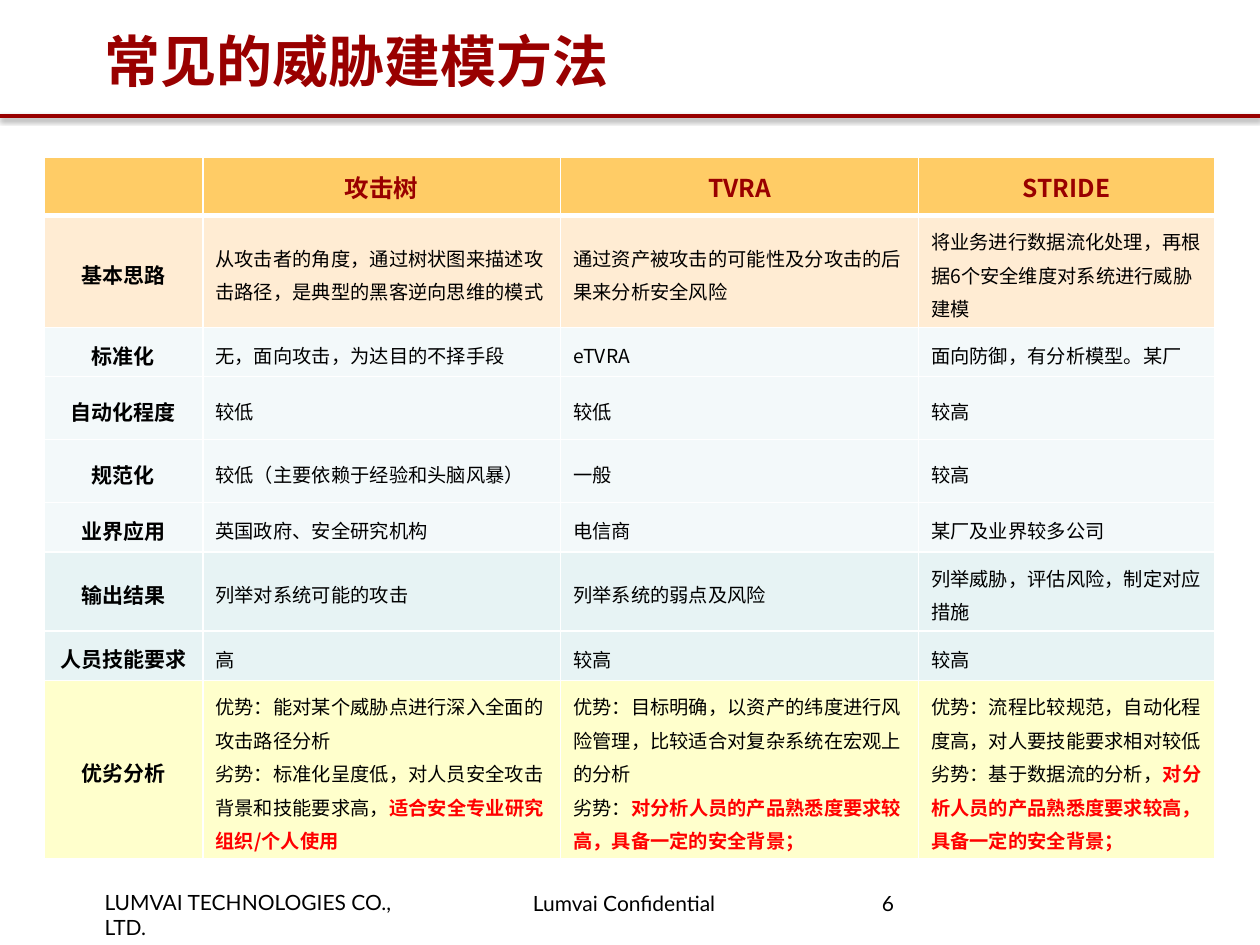
from dataclasses import dataclass

import lxml.etree
import pptx
import pptx.dml.color
import pptx.enum.shapes
import pptx.enum.text
import pptx.oxml
import pptx.oxml.ns
import pptx.util

Inches = pptx.util.Inches
Pt = pptx.util.Pt
RGBColor = pptx.dml.color.RGBColor
Align = pptx.enum.text.PP_ALIGN
Anchor = pptx.enum.text.MSO_ANCHOR
qn = pptx.oxml.ns.qn

DARK_RED = RGBColor(0x99, 0x00, 0x00)
RED = RGBColor(0xFF, 0x00, 0x00)
BLACK = RGBColor(0x00, 0x00, 0x00)
GOLD = RGBColor(0xFF, 0xCC, 0x66)
PEACH = RGBColor(0xFF, 0xEC, 0xD3)
PALE_BLUE = RGBColor(0xF3, 0xF9, 0xFA)
TEAL = RGBColor(0xE7, 0xF3, 0xF4)
YELLOW = RGBColor(0xFF, 0xFF, 0xCC)
CJK_FONT = "Noto Sans CJK SC"


@dataclass(frozen=True)
class Style:
    size: float
    color: RGBColor = BLACK
    bold: bool = False
    font: str = CJK_FONT


@dataclass(frozen=True)
class Label:
    text: str
    left: float
    top: float
    width: float
    height: float
    style: Style
    insets: tuple[float, float, float, float] = (0, 0, 0.09, 0)
    anchor: Anchor = Anchor.TOP
    spacing: float = 1.0


@dataclass(frozen=True)
class Entry:
    text: str
    emphasis: str = ""


@dataclass(frozen=True)
class Row:
    heading: str
    height: float
    fill: RGBColor
    entries: tuple[Entry, ...]


TITLE = Style(32, DARK_RED, True, "Arial")
FOOTER = Style(12, font="Lato")
HEADER = Style(14, DARK_RED, True)
HEADING = Style(12, bold=True)
BODY = Style(11)
EMPHASIS = Style(11, RED, True)

LABELS = [
    Label("LUMVAI TECHNOLOGIES CO., LTD.", 0.83, 7.06, 2.7, 0.2, FOOTER),
    Label("Lumvai Confidential", 4.14, 7.07, 1.67, 0.2, FOOTER, (0.09, 0, 0, 0)),
    Label("6", 7, 7.1, 1.93, 0.4, FOOTER, (0, 0, 0, 0), spacing=0.85),
    Label("常见的威胁建模方法", 0.83, 0, 8.35, 0.95, TITLE,
          (0, 0.04, 0.09, 0.04), Anchor.MIDDLE),
]

COLUMN_WIDTHS = [1.26, 2.84, 2.84, 2.35]
HEADER_HEIGHT = 0.46
METHODS = ["", "攻击树", "TVRA", "STRIDE"]
ROWS = [
    Row("基本思路", 0.89, PEACH, (
        Entry("从攻击者的角度，通过树状图来描述攻击路径，是典型的黑客逆向思维的模式"),
        Entry("通过资产被攻击的可能性及分攻击的后果来分析安全风险"),
        Entry("将业务进行数据流化处理，再根据6个安全维度对系统进行威胁建模"))),
    Row("标准化", 0.39, PALE_BLUE, (
        Entry("无，面向攻击，为达目的不择手段"),
        Entry("eTVRA"),
        Entry("面向防御，有分析模型。某厂"))),
    Row("自动化程度", 0.5, PALE_BLUE, (Entry("较低"), Entry("较低"), Entry("较高"))),
    Row("规范化", 0.5, PALE_BLUE, (
        Entry("较低（主要依赖于经验和头脑风暴）"), Entry("一般"), Entry("较高"))),
    Row("业界应用", 0.39, PALE_BLUE, (
        Entry("英国政府、安全研究机构"), Entry("电信商"), Entry("某厂及业界较多公司"))),
    Row("输出结果", 0.63, TEAL, (
        Entry("列举对系统可能的攻击"),
        Entry("列举系统的弱点及风险"),
        Entry("列举威胁，评估风险，制定对应措施"))),
    Row("人员技能要求", 0.39, TEAL, (Entry("高"), Entry("较高"), Entry("较高"))),
    Row("优劣分析", 1.42, YELLOW, (
        Entry("优势：能对某个威胁点进行深入全面的攻击路径分析\n"
              "劣势：标准化呈度低，对人员安全攻击背景和技能要求高，",
              "适合安全专业研究组织/个人使用"),
        Entry("优势：目标明确，以资产的纬度进行风险管理，比较适合对复杂系统在宏观上的分析\n劣势：",
              "对分析人员的产品熟悉度要求较高，具备一定的安全背景；"),
        Entry("优势：流程比较规范，自动化程度高，对人要技能要求相对较低\n"
              "劣势：基于数据流的分析，",
              "对分析人员的产品熟悉度要求较高，具备一定的安全背景；"))),
]


def format_span(span, style: Style) -> None:
    span.font.size = Pt(style.size)
    span.font.bold = style.bold
    span.font.name = style.font
    span.font.color.rgb = style.color
    east_asian = lxml.etree.SubElement(span.font._element, qn("a:ea"))
    east_asian.set("typeface", CJK_FONT)


def format_frame(frame, style: Style, align: Align, spacing: float) -> None:
    for para in frame.paragraphs:
        para.alignment = align
        para.line_spacing = spacing
        for span in para.runs:
            format_span(span, style)


def add_label(page, label: Label) -> None:
    box = page.shapes.add_textbox(Inches(label.left), Inches(label.top),
                                  Inches(label.width), Inches(label.height))
    frame = box.text_frame
    frame.word_wrap = True
    frame.vertical_anchor = label.anchor
    (frame.margin_left, frame.margin_top,
     frame.margin_right, frame.margin_bottom) = map(Inches, label.insets)
    frame.text = label.text
    format_frame(frame, label.style, Align.LEFT, label.spacing)


def add_title_rule(page) -> None:
    rule = page.shapes.add_connector(pptx.enum.shapes.MSO_CONNECTOR.STRAIGHT,
                                     0, Inches(0.92), Inches(10), Inches(0.92))
    rule.line.color.rgb = DARK_RED
    rule.line.width = Pt(2)
    rule._element.spPr.append(pptx.oxml.parse_xml(
        f'<a:effectLst {pptx.oxml.ns.nsdecls("a")}>'
        f'<a:outerShdw blurRad="{Pt(3.1)}" dist="{Pt(1.6)}" dir="5400000" rotWithShape="0">'
        '<a:srgbClr val="000000"><a:alpha val="38000"/></a:srgbClr>'
        '</a:outerShdw></a:effectLst>'))


def add_borders(cell, top: float, bottom: float) -> None:
    properties = cell._tc.get_or_add_tcPr()
    for side, width in (("L", 1), ("R", 1), ("T", top), ("B", bottom)):
        properties.append(pptx.oxml.parse_xml(
            f'<a:ln{side} {pptx.oxml.ns.nsdecls("a")} w="{Pt(width)}">'
            f'<a:solidFill><a:srgbClr val="FFFFFF"/></a:solidFill></a:ln{side}>'))


def fill_cell(cell, text: str, style: Style, fill: RGBColor, align: Align,
              spacing: float = 1.2, top: float = 1, bottom: float = 1) -> None:
    add_borders(cell, top, bottom)
    cell.fill.solid()
    cell.fill.fore_color.rgb = fill
    cell.vertical_anchor = Anchor.MIDDLE
    cell.text_frame.text = text
    format_frame(cell.text_frame, style, align, spacing)


def add_comparison(page) -> None:
    heights = [HEADER_HEIGHT] + [row.height for row in ROWS]
    table = page.shapes.add_table(
        len(heights), len(COLUMN_WIDTHS), Inches(0.35), Inches(1.25),
        Inches(sum(COLUMN_WIDTHS)), Inches(sum(heights))).table
    for column, width in zip(table.columns, COLUMN_WIDTHS):
        column.width = Inches(width)
    for table_row, height in zip(table.rows, heights):
        table_row.height = Inches(height)
    for index, method in enumerate(METHODS):
        fill_cell(table.cell(0, index), method, HEADER, GOLD, Align.CENTER, 1.0, bottom=3)
    for number, row in enumerate(ROWS, start=1):
        top = 3 if number == 1 else 1
        fill_cell(table.cell(number, 0), row.heading, HEADING, row.fill, Align.CENTER, top=top)
        for index, entry in enumerate(row.entries, start=1):
            cell = table.cell(number, index)
            fill_cell(cell, entry.text, BODY, row.fill, Align.LEFT, top=top)
            if entry.emphasis:
                span = cell.text_frame.paragraphs[-1].add_run()
                span.text = entry.emphasis
                format_span(span, EMPHASIS)


def main() -> None:
    deck = pptx.Presentation()
    deck.slide_width = Inches(10)
    deck.slide_height = Inches(7.5)
    page = deck.slides.add_slide(deck.slide_layouts[6])
    for label in LABELS:
        add_label(page, label)
    add_title_rule(page)
    add_comparison(page)
    deck.save("out.pptx")


if __name__ == "__main__":
    main()
